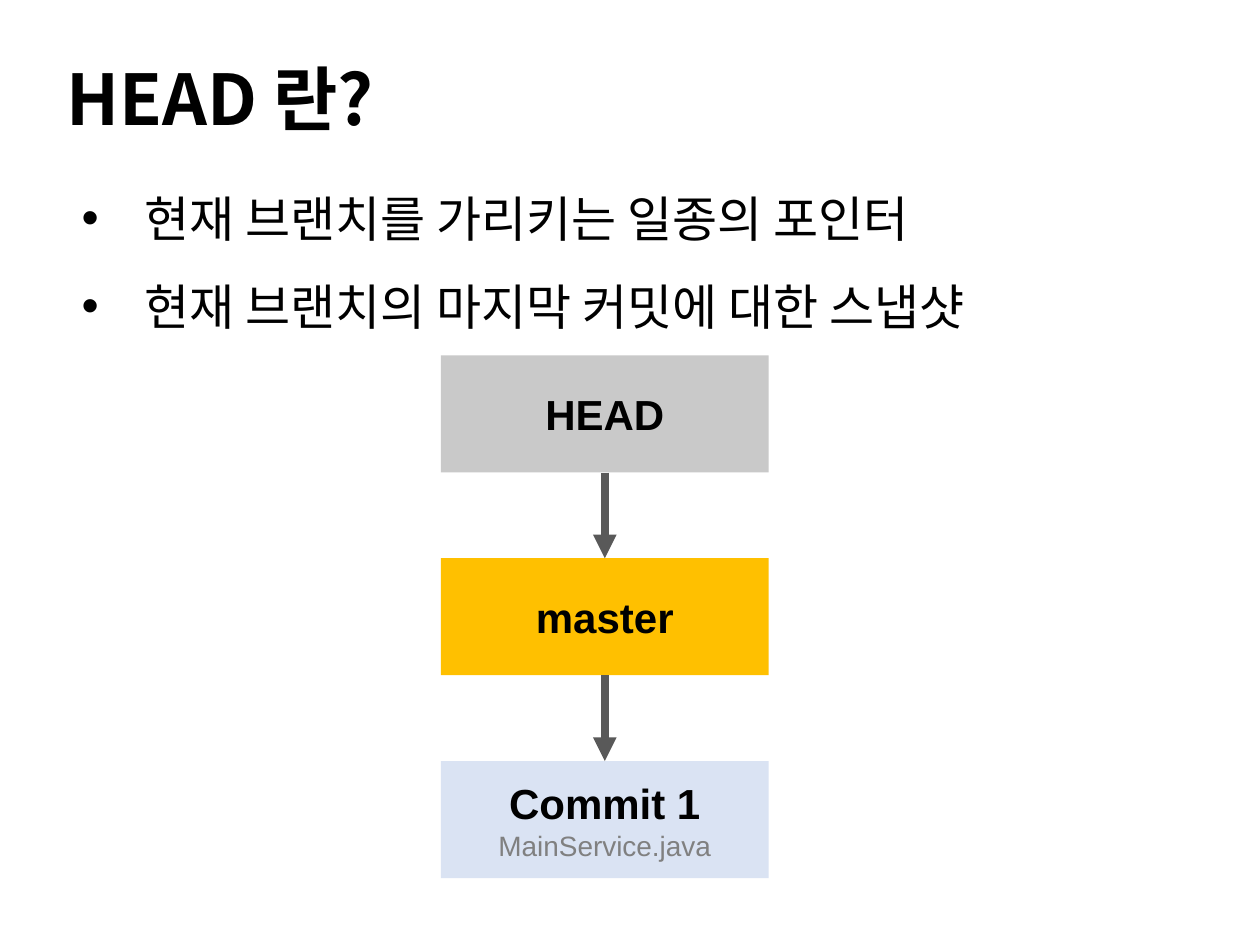
import pptx
import pptx.util
import pptx.dml.color
import pptx.enum.shapes
import pptx.enum.text
import pptx.oxml.ns
from lxml import etree

RGB = pptx.dml.color.RGBColor
BLACK = RGB(0x00, 0x00, 0x00)
GRAY = RGB(0x80, 0x80, 0x80)
DARK = RGB(0x59, 0x59, 0x59)
SILVER = RGB(0xC9, 0xC9, 0xC9)
GOLD = RGB(0xFF, 0xC0, 0x00)
PALE = RGB(0xDA, 0xE3, 0xF3)

SANS = "Arial"
KOREAN = "Noto Sans CJK KR"
ALIGN = pptx.enum.text.PP_ALIGN
MIDDLE = pptx.enum.text.MSO_ANCHOR.MIDDLE
qn = pptx.oxml.ns.qn


def inch(box):
    return [pptx.util.Inches(n) for n in box]


def add_run(para, text, size, color=BLACK, bold=False, face=SANS):
    run = para.add_run()
    run.text = text
    font = run.font
    font.size = pptx.util.Pt(size)
    font.name = face
    font.bold = bold
    font.color.rgb = color
    return run


def add_text(slide, box):
    frame = slide.shapes.add_textbox(*inch(box)).text_frame
    frame.word_wrap = True
    return frame


def add_title(slide, box, text):
    frame = add_text(slide, box)
    frame.vertical_anchor = MIDDLE
    run = add_run(frame.paragraphs[0], text, 40, bold=True, face=KOREAN)
    etree.SubElement(run.font._element, qn("a:ea"), typeface=KOREAN)


def add_list(slide, box, items):
    frame = add_text(slide, box)
    indent = pptx.util.Inches(0.5)
    for i, item in enumerate(items):
        para = frame.add_paragraph() if i else frame.paragraphs[0]
        para.line_spacing = 1.5
        props = para._p.get_or_add_pPr()
        props.set("marL", str(indent))
        props.set("indent", str(-indent))
        etree.SubElement(props, qn("a:buFont"), typeface=SANS)
        etree.SubElement(props, qn("a:buChar"), char="•")
        add_run(para, item, 28)


def add_node(slide, box, fill, lines):
    node = slide.shapes.add_shape(
        pptx.enum.shapes.MSO_SHAPE.RECTANGLE, *inch(box))
    node.shadow.inherit = False
    node.fill.solid()
    node.fill.fore_color.rgb = fill
    node.line.fill.background()
    frame = node.text_frame
    frame.word_wrap = True
    frame.vertical_anchor = MIDDLE
    for i, (text, size, color, bold) in enumerate(lines):
        para = frame.add_paragraph() if i else frame.paragraphs[0]
        para.alignment = ALIGN.CENTER
        add_run(para, text, size, color, bold)
    return node


def add_arrow(slide, start, end):
    arrow = slide.shapes.add_connector(
        pptx.enum.shapes.MSO_CONNECTOR.STRAIGHT, 0, 0, 0, 0)
    arrow.begin_connect(start, 2)
    arrow.end_connect(end, 0)
    arrow.line.color.rgb = DARK
    arrow.line.width = pptx.util.Pt(4.5)
    etree.SubElement(arrow.line._get_or_add_ln(), qn("a:tailEnd"),
                     type="triangle")
    etree.SubElement(arrow._element.spPr, qn("a:effectLst"))


def add_chain(slide, box, items):
    left, top, width, height = box
    tall = 0.93
    step = (height - tall) / (len(items) - 1)
    nodes = [add_node(slide, (left, top + i * step, width, tall), fill, lines)
             for i, (fill, lines) in enumerate(items)]
    for start, end in zip(nodes, nodes[1:]):
        add_arrow(slide, start, end)


def main():
    deck = pptx.Presentation()
    deck.slide_width, deck.slide_height = inch((10, 7.5))
    slide = deck.slides.add_slide(deck.slide_layouts[6])
    add_title(slide, (0.43, 0.12, 9.54, 1.31), "HEAD 란?")
    add_list(slide, (0.55, 1.21, 9.25, 2.13), [
        "현재 브랜치를 가리키는 일종의 포인터",
        "현재 브랜치의 마지막 커밋에 대한 스냅샷",
    ])
    add_chain(slide, (3.5, 2.82, 2.6, 4.15), [
        (SILVER, [("HEAD", 24, BLACK, True)]),
        (GOLD, [("master", 24, BLACK, True)]),
        (PALE, [("Commit 1", 24, BLACK, True),
                ("MainService.java", 16, GRAY, False)]),
    ])
    deck.save("out.pptx")


if __name__ == "__main__":
    main()
